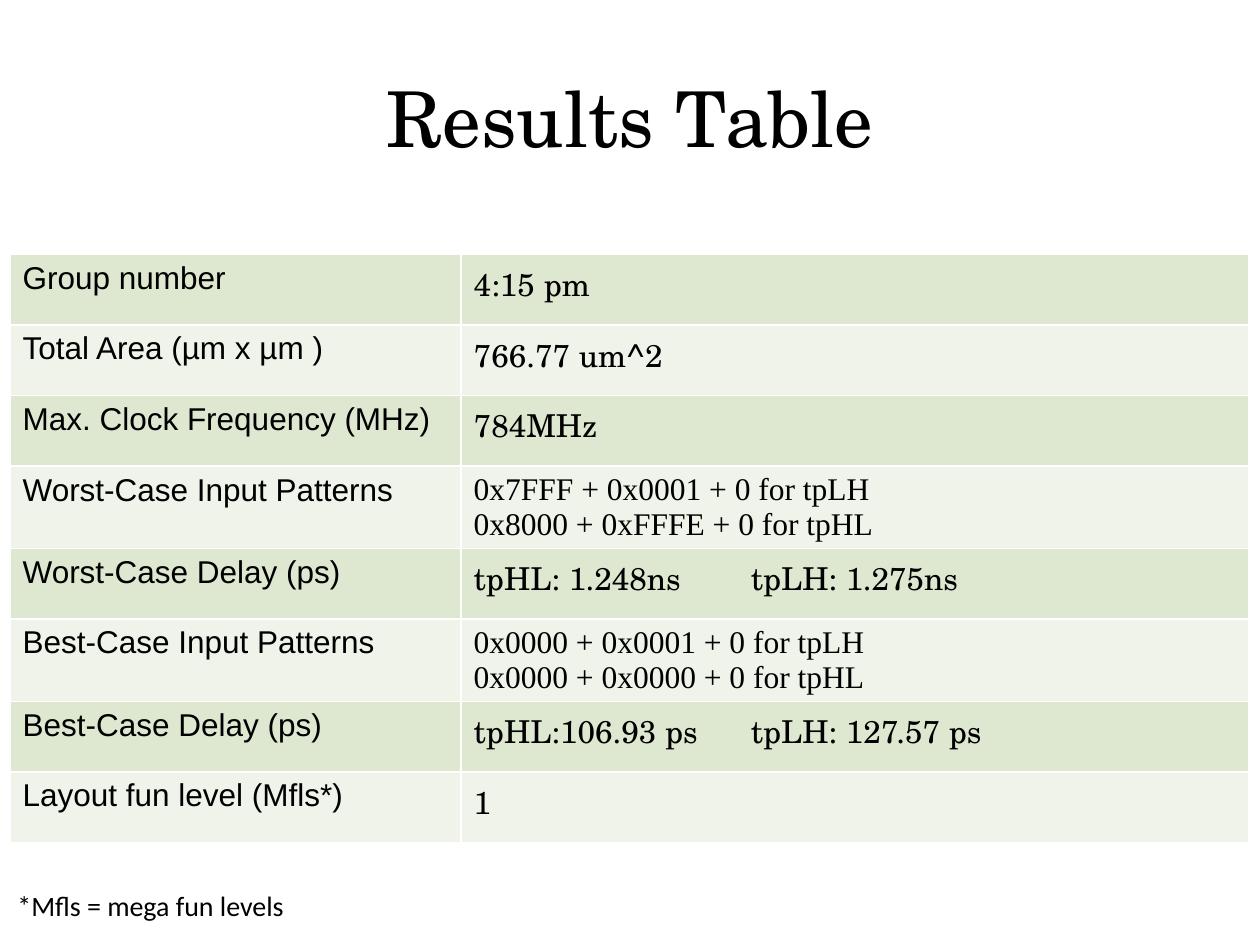
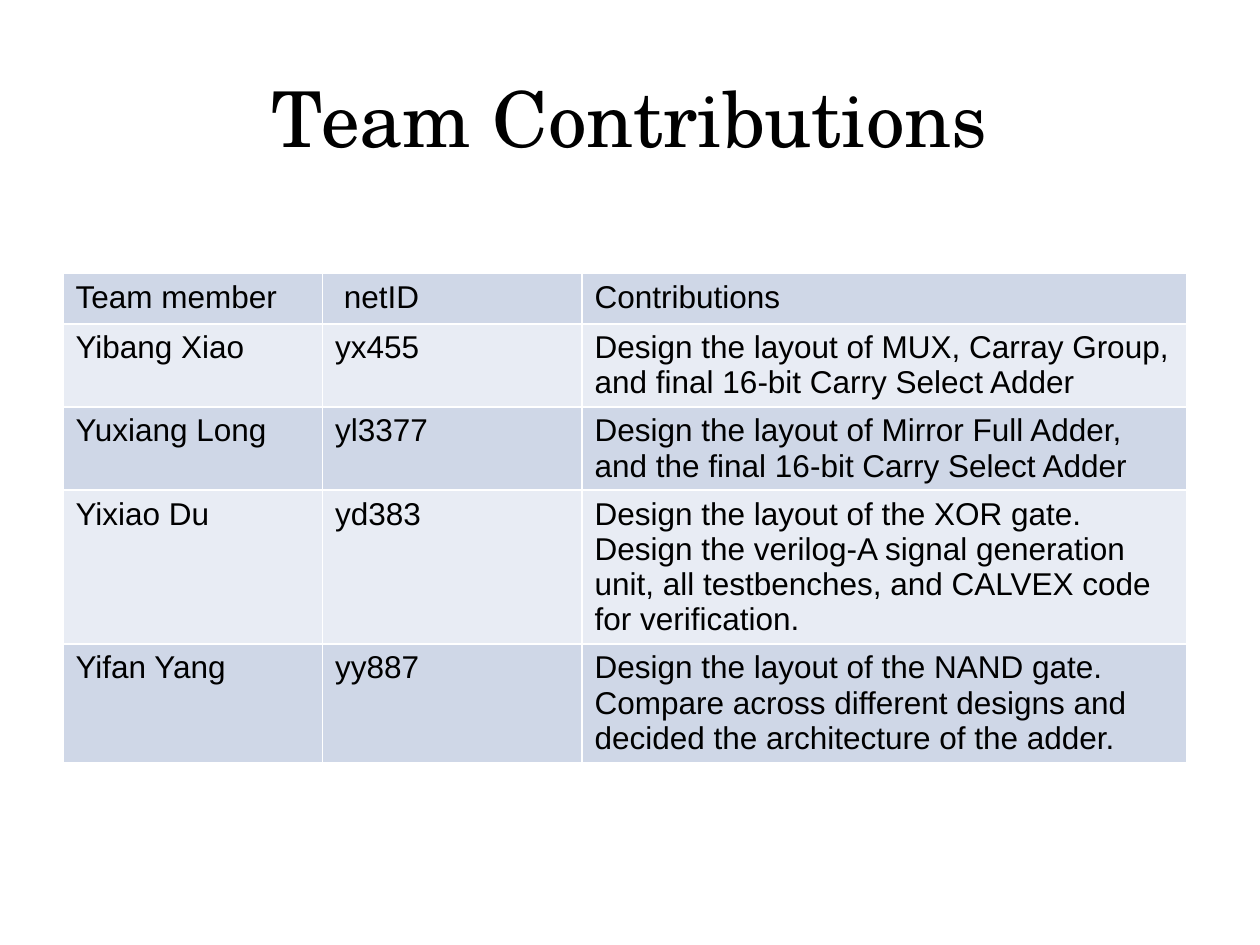
from dataclasses import dataclass
from pptx import Presentation
from pptx.dml.color import RGBColor
from pptx.enum.text import MSO_ANCHOR, PP_ALIGN
from pptx.oxml.ns import qn
from pptx.util import Inches, Pt
from lxml import etree

MIDDLE = MSO_ANCHOR.MIDDLE
CENTER = PP_ALIGN.CENTER


@dataclass(frozen=True)
class Theme:
    ink: str = "000000"
    green: tuple = ("DEE7D0", "EFF3E9")
    blue: tuple = ("CFD7E7", "E8ECF4")
    serif: str = "TeX Gyre Schola"
    sans: str = "Arial"
    code: str = "Times New Roman"
    note: str = "Calibri"
    head: int = 44
    body: int = 18
    small: int = 16


look = Theme()


def style(frame, face, size):
    for para in frame.paragraphs:
        para.font.name = face
        para.font.size = Pt(size)
        para.font.color.rgb = RGBColor.from_string(look.ink)


deck = Presentation()
deck.slide_width, deck.slide_height = Inches(10), Inches(7.5)
wide, high = deck.slide_width, deck.slide_height

results = [
    ("Group number", "4:15 pm"),
    ("Total Area (µm x µm )", "766.77 um^2"),
    ("Max. Clock Frequency (MHz)", "784MHz"),
    ("Worst-Case Input Patterns",
     "0x7FFF + 0x0001 + 0 for tpLH\n0x8000 + 0xFFFE + 0 for tpHL"),
    ("Worst-Case Delay (ps)", "tpHL: 1.248ns\ttpLH: 1.275ns"),
    ("Best-Case Input Patterns",
     "0x0000 + 0x0001 + 0 for tpLH\n0x0000 + 0x0000 + 0 for tpHL"),
    ("Best-Case Delay (ps)", "tpHL:106.93 ps\ttpLH: 127.57 ps"),
    ("Layout fun level (Mfls*)", "1"),
]
team = [
    ("Team member", " netID", "Contributions"),
    ("Yibang Xiao", "yx455",
     "Design the layout of MUX, Carray Group, and final 16-bit Carry Select Adder"),
    ("Yuxiang Long", "yl3377",
     "Design the layout of Mirror Full Adder, and the final 16-bit Carry Select Adder"),
    ("Yixiao Du", "yd383",
     "Design the layout of the XOR gate. Design the verilog-A signal generation unit, "
     "all testbenches, and CALVEX code for verification."),
    ("Yifan Yang", "yy887",
     "Design the layout of the NAND gate. Compare across different designs and "
     "decided the architecture of the adder."),
]
pages = [
    ("Results Table", results, look.green, look.serif, (0.08, 2.02),
     (3.58, 6.25), [0.65 if "\n" in row[1] else 0.56 for row in results]),
    ("Team Contributions", team, look.blue, look.sans, (0.5, 2.17),
     (2.06, 2.06, 4.8), [0.4, 0.66, 0.66, 1.22, 0.94]),
]

for name, data, bands, face, (left, top), cols, rows in pages:
    slide = deck.slides.add_slide(deck.slide_layouts[5])
    title = slide.shapes.title
    title.left, title.top = int(wide * 0.05), int(high * 0.04)
    title.width, title.height = int(wide * 0.9), Inches(1.25)
    title.text_frame.text = name
    title.text_frame.vertical_anchor = MIDDLE
    title.text_frame.paragraphs[0].alignment = CENTER
    style(title.text_frame, look.serif, look.head)

    grid = slide.shapes.add_table(
        len(rows), len(cols), Inches(left), Inches(top),
        Inches(sum(cols)), Inches(sum(rows))).table
    grid.first_row = grid.horz_banding = False
    for col, size in zip(grid.columns, cols):
        col.width = Inches(size)
    for r, (line, size) in enumerate(zip(data, rows)):
        grid.rows[r].height = Inches(size)
        for c, text in enumerate(line):
            cell = grid.cell(r, c)
            cell.text = text
            cell.fill.solid()
            cell.fill.fore_color.rgb = RGBColor.from_string(bands[r % 2])
            font = look.sans if c == 0 else look.code if "\n" in text else face
            style(cell.text_frame, font, look.body)
            if "\t" in text:
                props = cell.text_frame.paragraphs[0]._p.get_or_add_pPr()
                tabs = etree.Element(qn("a:tabLst"))
                etree.SubElement(tabs, qn("a:tab"), pos=str(Inches(2.2)), algn="l")
                props.insert(0, tabs)

note = deck.slides[0].shapes.add_textbox(
    Inches(0.04), Inches(7), Inches(2.34), Inches(0.4))
note.text_frame.word_wrap = True
note.text_frame.text = "*Mfls = mega fun levels"
style(note.text_frame, look.note, look.small)

deck.save("out.pptx")
